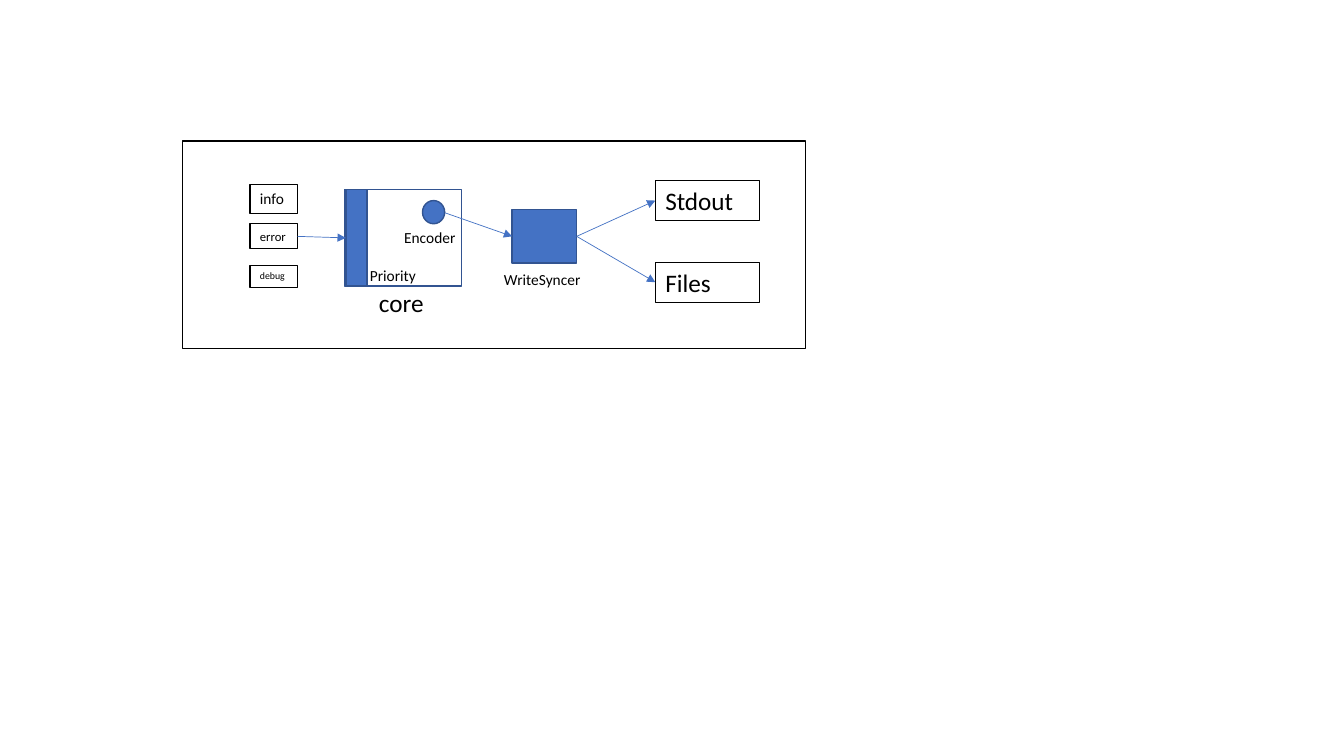
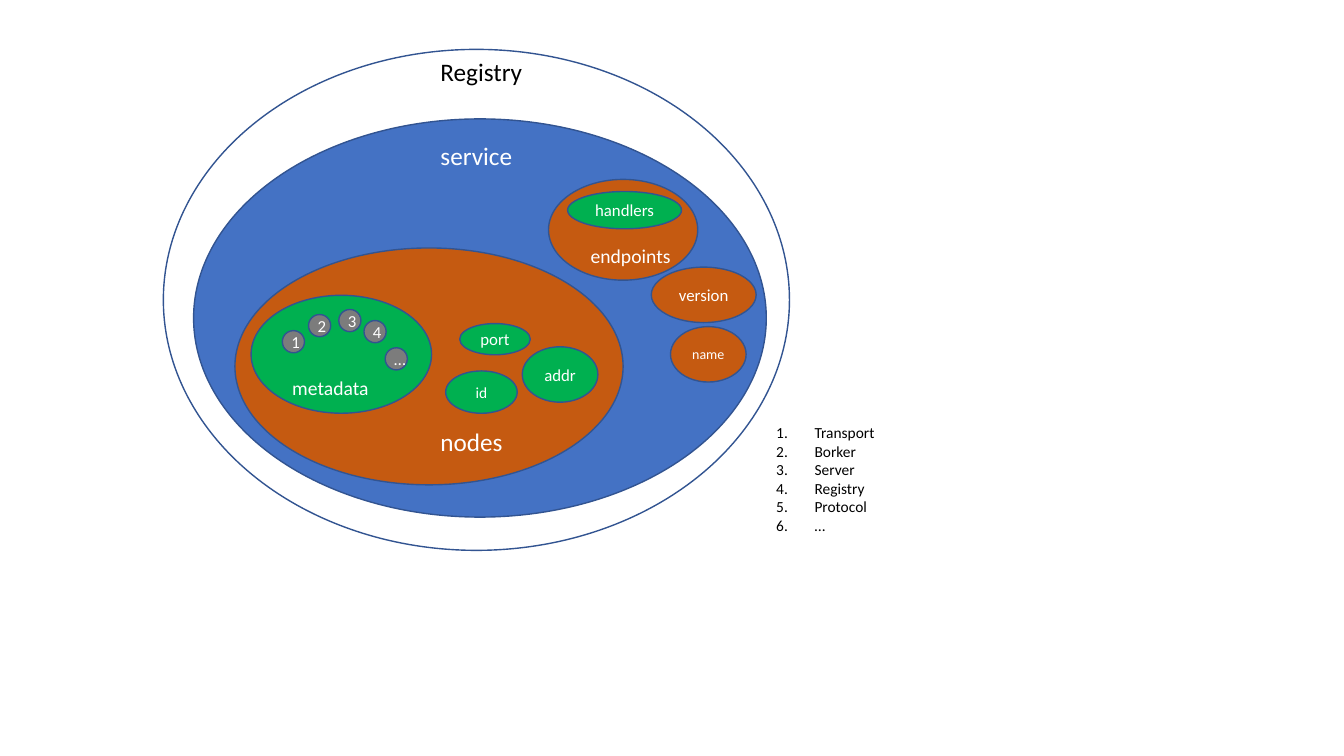
from lxml import etree
from pptx import Presentation, util as u
from pptx.dml.color import RGBColor
from pptx.enum import shapes, text
from pptx.oxml.ns import qn

BLACK = RGBColor(0x00, 0x00, 0x00)
WHITE = RGBColor(0xFF, 0xFF, 0xFF)
BLUE = RGBColor(0x44, 0x72, 0xC4)
NAVY = RGBColor(0x32, 0x54, 0x91)
ORANGE = RGBColor(0xC5, 0x5A, 0x11)
GREEN = RGBColor(0x00, 0xB0, 0x50)
GRAY = RGBColor(0x7C, 0x7C, 0x7C)

RECT = shapes.MSO_SHAPE.RECTANGLE
OVAL = shapes.MSO_SHAPE.OVAL
LEFT, RIGHT = 1, 3


class Diagram:
    """Draws the parts of a diagram in one style on the current slide."""

    FONT = "Calibri"
    LABEL_FRAME = {"word_wrap": True, "auto_size": text.MSO_AUTO_SIZE.SHAPE_TO_FIT_TEXT}
    SHAPE_FRAME = {"word_wrap": True, "vertical_anchor": text.MSO_ANCHOR.MIDDLE}

    def __init__(self):
        self.deck = Presentation()
        self.deck.slide_width = u.Inches(13.33)
        self.deck.slide_height = u.Inches(7.5)
        self.slide = None

    def new_slide(self):
        self.slide = self.deck.slides.add_slide(self.deck.slide_layouts[6])

    def fill_text(self, frame, lines, size, color, settings, align=None):
        for key, value in settings.items():
            setattr(frame, key, value)
        font_format = {"name": self.FONT, "size": u.Pt(size)}
        for number, line in enumerate(lines):
            paragraph = frame.add_paragraph() if number else frame.paragraphs[0]
            paragraph.alignment = align
            run = paragraph.add_run()
            run.text = line
            for key, value in font_format.items():
                setattr(run.font, key, value)
            run.font.color.rgb = color

    def outline(self, part, color, width):
        part.line.color.rgb = color
        part.line.width = u.Pt(width)

    def shape(self, kind, box, fill, caption="", size=12, line=NAVY):
        part = self.slide.shapes.add_shape(kind, *map(u.Inches, box))
        part.shadow.inherit = False
        part.fill.solid()
        part.fill.fore_color.rgb = fill
        self.outline(part, line, 1)
        if caption:
            self.fill_text(part.text_frame, [caption], size, WHITE,
                           self.SHAPE_FRAME, text.PP_ALIGN.CENTER)
        return part

    def label(self, box, lines, size, color=BLACK):
        part = self.slide.shapes.add_textbox(*map(u.Inches, box))
        self.fill_text(part.text_frame, lines, size, color, self.LABEL_FRAME)
        return part

    def framed_label(self, box, caption, size):
        part = self.label(box, [caption], size)
        self.outline(part, BLACK, 0.75)
        return part

    def numbered_list(self, box, items, size):
        part = self.label(box, items, size)
        indent = u.Inches(0.38)
        for paragraph in part.text_frame.paragraphs:
            properties = paragraph._p.get_or_add_pPr()
            properties.set("marL", str(indent))
            properties.set("indent", str(-indent))
            etree.SubElement(properties, qn("a:buAutoNum"), type="arabicPeriod")

    def arrow(self, start, end, source=None, target=None):
        part = self.slide.shapes.add_connector(
            shapes.MSO_CONNECTOR.STRAIGHT, *map(u.Inches, start + end))
        if source is not None:
            part.begin_connect(source, RIGHT)
        if target is not None:
            part.end_connect(target, LEFT)
        self.outline(part, BLUE, 0.5)
        etree.SubElement(part.line._get_or_add_ln(), qn("a:tailEnd"), type="triangle")
        etree.SubElement(part._element.spPr, qn("a:effectLst"))


def logging_slide(diagram):
    """Shows how log entries pass through the core to the outputs."""
    diagram.new_slide()
    diagram.shape(RECT, (1.81, 1.4, 6.18, 2.06), WHITE, line=BLACK)
    diagram.label((3.66, 2.8, 0.93, 0.4), ["core"], 18)
    syncer = diagram.shape(RECT, (5.08, 2.08, 0.64, 0.53), BLUE)
    diagram.label((4.9, 2.63, 1.48, 0.29), ["WriteSyncer"], 11)
    diagram.shape(RECT, (3.42, 1.88, 1.16, 0.96), WHITE)
    diagram.label((3.91, 2.21, 1.06, 0.29), ["Encoder"], 11)
    for output, top in (("Stdout", 1.79), ("Files", 2.6)):
        target = diagram.framed_label((6.5, top, 1.03, 0.4), output, 18)
        diagram.arrow((5.72, 2.34), (6.5, top + 0.2), syncer, target)
    diagram.arrow((4.41, 2.11), (5.08, 2.34), target=syncer)
    diagram.shape(OVAL, (4.19, 1.99, 0.22, 0.23), BLUE)
    diagram.label((3.57, 2.59, 1.06, 0.29), ["Priority"], 11)
    priority = diagram.shape(RECT, (3.43, 1.88, 0.21, 0.96), BLUE)
    levels = {
        level: diagram.framed_label((2.48, top, 0.47, height), level, size)
        for level, top, height, size in (
            ("info", 1.83, 0.29, 11), ("error", 2.22, 0.25, 9), ("debug", 2.63, 0.22, 7))
    }
    diagram.arrow((2.95, 2.35), (3.43, 2.35), levels["error"], priority)


def registry_slide(diagram):
    """Shows the nested parts of a service registry."""
    diagram.new_slide()
    for box, fill in (
        ((1.62, 0.49, 6.21, 4.97), WHITE),
        ((1.92, 1.18, 5.68, 3.95), BLUE),
        ((2.33, 2.46, 3.85, 2.35), ORANGE),
        ((2.49, 2.93, 1.79, 1.17), GREEN),
        ((5.44, 1.78, 1.48, 1), ORANGE),
    ):
        diagram.shape(OVAL, box, fill)
    for caption, box, size, color in (
        ("Registry", (4.27, 0.51, 1.3, 0.4), 18, BLACK),
        ("service", (4.27, 1.34, 1.75, 0.4), 18, WHITE),
        ("nodes", (4.27, 4.18, 1, 0.4), 18, WHITE),
        ("metadata", (2.8, 3.68, 1.33, 0.34), 14, WHITE),
        ("endpoints", (5.76, 2.37, 1.33, 0.34), 14, WHITE),
    ):
        diagram.label(box, [caption], size, color)
    for caption, box, fill, size in (
        ("id", (4.42, 3.68, 0.71, 0.42), GREEN, 11),
        ("version", (6.46, 2.65, 1.04, 0.55), ORANGE, 12),
        ("port", (4.56, 3.21, 0.7, 0.31), GREEN, 12),
        ("handlers", (5.63, 1.9, 1.13, 0.37), GREEN, 12),
        ("addr", (5.18, 3.44, 0.75, 0.55), GREEN, 12),
        ("name", (6.65, 3.24, 0.75, 0.55), ORANGE, 10),
    ):
        diagram.shape(OVAL, box, fill, caption, size)
    for entry, left, top in (
        ("1", 2.8, 3.28), ("2", 3.06, 3.12), ("3", 3.36, 3.07),
        ("4", 3.61, 3.18), ("…", 3.82, 3.45),
    ):
        diagram.shape(OVAL, (left, top, 0.22, 0.22), GRAY, entry)
    diagram.numbered_list(
        (7.6, 4.15, 1.78, 1.21),
        ["Transport", "Borker", "Server", "Registry", "Protocol", "…"], 11)


def main():
    """Builds both slides and saves the deck."""
    diagram = Diagram()
    logging_slide(diagram)
    registry_slide(diagram)
    diagram.deck.save("out.pptx")


if __name__ == "__main__":
    main()
